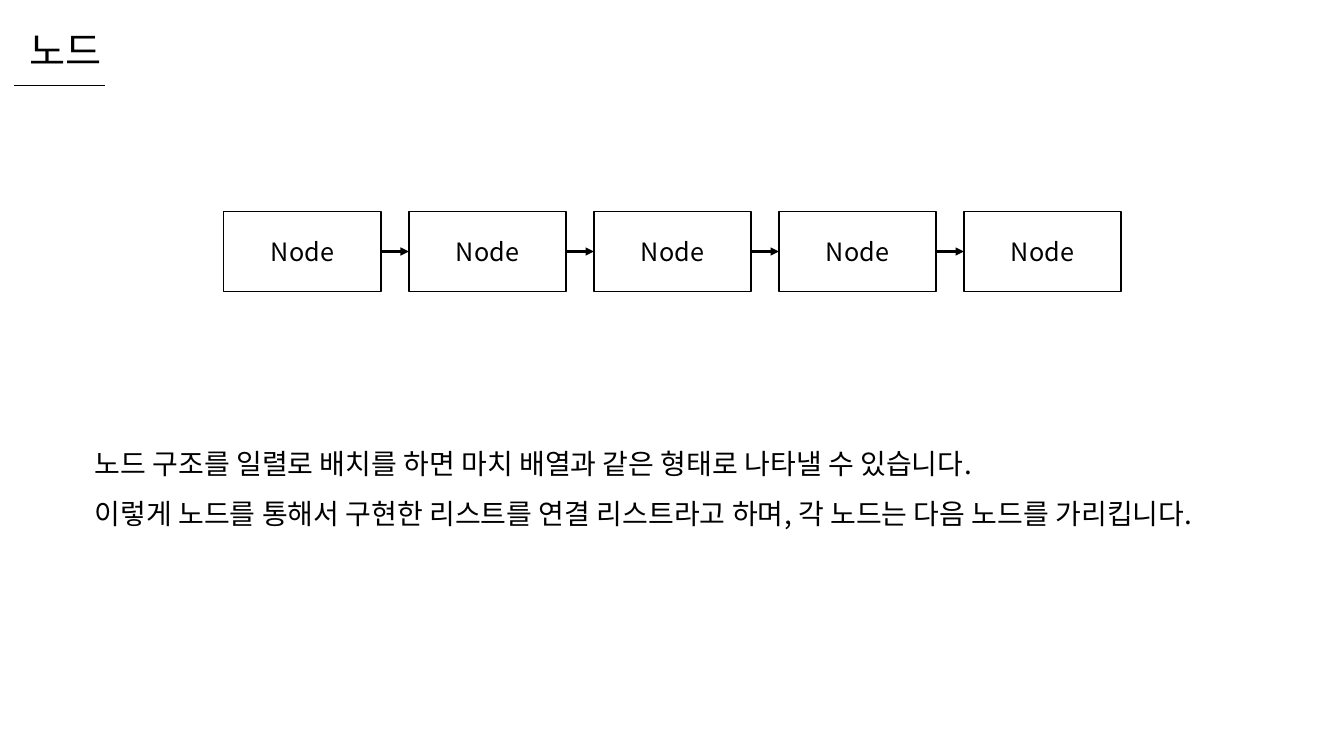
from itertools import pairwise

from pptx import Presentation, util as u
from pptx.dml.color import RGBColor
from pptx.enum import shapes, text
from pptx.oxml.ns import qn
from lxml import etree


def color(hex_value):
    return RGBColor.from_string(hex_value)


class SlideBuilder:
    font = "Noto Sans CJK KR"
    ink = "000000"
    paper = "FFFFFF"

    def __init__(self, slide):
        self.slide = slide

    def add_run(self, paragraph, words, size):
        run = paragraph.add_run()
        run.text = words
        run.font.size = u.Pt(size)
        run.font.name = self.font
        run.font.color.rgb = color(self.ink)
        east_asian = etree.SubElement(run._r.get_or_add_rPr(), qn("a:ea"))
        east_asian.set("typeface", self.font)

    def add_lines(self, frame, lines, size, align, anchor, spacing=1.0):
        frame.vertical_anchor = anchor
        for index, words in enumerate(lines):
            paragraph = frame.add_paragraph() if index else frame.paragraphs[0]
            paragraph.alignment = align
            paragraph.line_spacing = spacing
            self.add_run(paragraph, words, size)

    def add_fitted_lines(self, frame, lines, size, spacing=1.0):
        frame.word_wrap = False
        frame.auto_size = text.MSO_AUTO_SIZE.SHAPE_TO_FIT_TEXT
        self.add_lines(frame, lines, size, text.PP_ALIGN.LEFT,
                       text.MSO_ANCHOR.TOP, spacing)

    def title(self, words, left, top, width, height, size):
        heading = self.slide.shapes.title
        heading.left, heading.top = u.Inches(left), u.Inches(top)
        heading.width, heading.height = u.Inches(width), u.Inches(height)
        self.add_fitted_lines(heading.text_frame, [words], size)

    def body(self, lines, left, top, width, height, size, spacing):
        box = self.slide.shapes.add_textbox(
            u.Inches(left), u.Inches(top), u.Inches(width), u.Inches(height))
        self.add_fitted_lines(box.text_frame, lines, size, spacing)

    def node(self, words, left, top, width, height, size):
        box = self.slide.shapes.add_shape(
            shapes.MSO_SHAPE.RECTANGLE,
            u.Inches(left), u.Inches(top), u.Inches(width), u.Inches(height))
        box.shadow.inherit = False
        box.fill.solid()
        box.fill.fore_color.rgb = color(self.paper)
        box.line.color.rgb = color(self.ink)
        box.line.width = u.Pt(1)
        self.add_lines(box.text_frame, [words], size,
                       text.PP_ALIGN.CENTER, text.MSO_ANCHOR.MIDDLE)
        return box

    def line(self, start, end, weight):
        rule = self.slide.shapes.add_connector(
            shapes.MSO_CONNECTOR.STRAIGHT, *map(u.Inches, (*start, *end)))
        rule.line.color.rgb = color(self.ink)
        rule.line.width = u.Pt(weight)
        etree.SubElement(rule._element.spPr, qn("a:effectLst"))
        return rule

    def link(self, source, target, weight):
        pointer = self.line((0, 0), (0, 0), weight)
        pointer.begin_connect(source, 3)
        pointer.end_connect(target, 1)
        outline = pointer._element.spPr.find(qn("a:ln"))
        etree.SubElement(outline, qn("a:tailEnd")).set("type", "triangle")


deck = Presentation()
deck.slide_width, deck.slide_height = u.Inches(13.33), u.Inches(7.5)
page = SlideBuilder(deck.slides.add_slide(deck.slide_layouts[5]))

page.title("노드", 0.19, 0.21, 0.94, 0.57, 28)
page.line((0.14, 0.85), (1.04, 0.85), 0.5)

node_count = 5
first_left, last_left = 2.22, 9.56
pitch = (last_left - first_left) / (node_count - 1)
nodes = [page.node("Node", first_left + i * pitch, 2.1, 1.56, 0.79, 18)
         for i in range(node_count)]
for current_node, next_node in pairwise(nodes):
    page.link(current_node, next_node, 1.5)

page.body([
    "노드 구조를 일렬로 배치를 하면 마치 배열과 같은 형태로 나타낼 수 있습니다.",
    "이렇게 노드를 통해서 구현한 리스트를 연결 리스트라고 하며, 각 노드는 다음 노드를 가리킵니다.",
], 0.84, 4.21, 11.65, 1.05, 20, 1.5)

deck.save("out.pptx")
